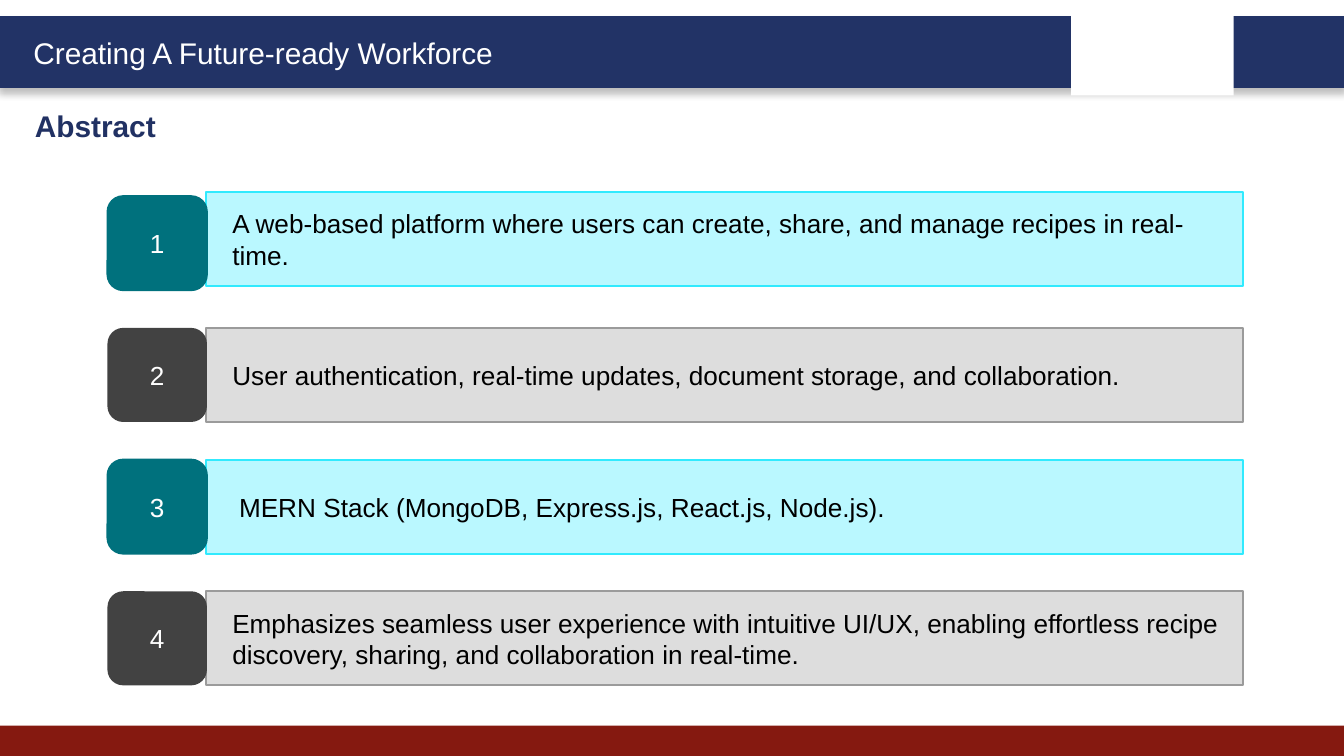
from dataclasses import dataclass

from lxml import etree
from pptx import Presentation
from pptx.dml.color import RGBColor
from pptx.enum.shapes import MSO_SHAPE
from pptx.enum.text import MSO_ANCHOR, MSO_AUTO_SIZE, PP_ALIGN
from pptx.oxml.ns import qn
from pptx.shapes.autoshape import Shape
from pptx.slide import Slide
from pptx.util import Inches, Pt

RECT = MSO_SHAPE.RECTANGLE
ROUNDED = MSO_SHAPE.ROUNDED_RECTANGLE
TOP, MIDDLE = MSO_ANCHOR.TOP, MSO_ANCHOR.MIDDLE
LEFT, CENTER = PP_ALIGN.LEFT, PP_ALIGN.CENTER
NO_AUTOFIT = MSO_AUTO_SIZE.NONE

COLORS = {
    "banner": "223366",
    "footer": "851910",
    "heading": "213163",
    "white": "FFFFFF",
    "black": "000000",
    "cyan": "BAF8FF",
    "cyan_edge": "31EAFE",
    "teal": "00717D",
    "grey": "DDDDDD",
    "grey_edge": "9B9B9B",
    "charcoal": "424242",
}

SLIDE_WIDTH = 10
SLIDE_HEIGHT = SLIDE_WIDTH * 9 / 16
FIRST_ROW_TOP = 1.46
ROW_PITCH = 0.98
ROW_HEIGHT = 0.7


@dataclass(frozen=True)
class RowStyle:
    panel: str
    panel_edge: str
    badge: str
    badge_edge: str | None


@dataclass(frozen=True)
class Point:
    text: str
    lift: float = 0
    indent: float = 0.1


ROW_STYLES = (
    RowStyle("cyan", "cyan_edge", "teal", "teal"),
    RowStyle("grey", "grey_edge", "charcoal", None),
)

POINTS = (
    Point("A web-based platform where users can create, share, and manage recipes in real-time.", lift=0.03),
    Point("User authentication, real-time updates, document storage, and collaboration."),
    Point("MERN Stack (MongoDB, Express.js, React.js, Node.js).", indent=0.15),
    Point("Emphasizes seamless user experience with intuitive UI/UX, enabling effortless recipe "
          "discovery, sharing, and collaboration in real-time."),
)


def color(name: str) -> RGBColor:
    return RGBColor.from_string(COLORS[name])


def write(shape: Shape, text: str, *, size: float = 14, ink: str = "black", bold: bool = False,
          align: PP_ALIGN = LEFT, anchor: MSO_ANCHOR = MIDDLE, indent: float = 0) -> None:
    frame = shape.text_frame
    frame.word_wrap = True
    frame.auto_size = NO_AUTOFIT
    frame.vertical_anchor = anchor
    paragraph = frame.paragraphs[0]
    paragraph.text = text
    paragraph.alignment = align
    if indent:
        properties = paragraph._p.get_or_add_pPr()
        properties.set("marL", str(Inches(indent)))
        properties.set("indent", "0")
    font = paragraph.font
    font.name = "Arial"
    font.size = Pt(size)
    font.bold = bold
    font.color.rgb = color(ink)


def add_block(slide: Slide, left: float, top: float, width: float, height: float, fill: str,
              edge: str | None = None, edge_width: float = 1, kind: MSO_SHAPE = RECT) -> Shape:
    block = slide.shapes.add_shape(kind, Inches(left), Inches(top), Inches(width), Inches(height))
    block.shadow.inherit = False
    block.fill.solid()
    block.fill.fore_color.rgb = color(fill)
    if edge:
        block.line.color.rgb = color(edge)
        block.line.width = Pt(edge_width)
    else:
        block.line.fill.background()
    return block


def add_drop_shadow(block: Shape) -> None:
    effects = block._element.spPr.find(qn("a:effectLst"))
    shadow = etree.SubElement(effects, qn("a:outerShdw"), blurRad=str(Pt(4)), dist=str(Pt(3)),
                              dir="5400000", algn="t", rotWithShape="0")
    tint = etree.SubElement(shadow, qn("a:srgbClr"), val=COLORS["black"])
    etree.SubElement(tint, qn("a:alpha"), val="25000")


def add_point(slide: Slide, index: int, point: Point) -> None:
    style = ROW_STYLES[index % len(ROW_STYLES)]
    top = FIRST_ROW_TOP + index * ROW_PITCH
    panel = add_block(slide, 1.53, top - point.lift, 7.72, ROW_HEIGHT, style.panel, style.panel_edge)
    write(panel, point.text, indent=point.indent)
    badge = add_block(slide, 0.8, top, 0.74, ROW_HEIGHT, style.badge, style.badge_edge, kind=ROUNDED)
    badge.adjustments[0] = 0.167
    write(badge, str(index + 1), ink="white", align=CENTER)


def main() -> None:
    presentation = Presentation()
    presentation.slide_width = Inches(SLIDE_WIDTH)
    presentation.slide_height = Inches(SLIDE_HEIGHT)
    slide = presentation.slides.add_slide(presentation.slide_layouts[5])

    banner = add_block(slide, 0, 0.13, SLIDE_WIDTH, 0.51, "banner", "banner", 2)
    add_drop_shadow(banner)
    add_block(slide, 0, 5.4, SLIDE_WIDTH, SLIDE_HEIGHT - 5.4, "footer")
    add_block(slide, 7.97, 0.07, 1.21, 0.64, "white")

    tagline = slide.shapes.add_textbox(Inches(0.15), Inches(0.21), Inches(3.78), Inches(0.37))
    write(tagline, "Creating A Future-ready Workforce", size=16, ink="white", anchor=TOP)

    heading = slide.shapes.title
    heading.left, heading.top = Inches(0.16), Inches(0.75)
    heading.width, heading.height = Inches(4.84), Inches(0.37)
    write(heading, "Abstract", size=16, ink="heading", bold=True, anchor=TOP)

    for index, point in enumerate(POINTS):
        add_point(slide, index, point)

    presentation.save("out.pptx")


if __name__ == "__main__":
    main()
